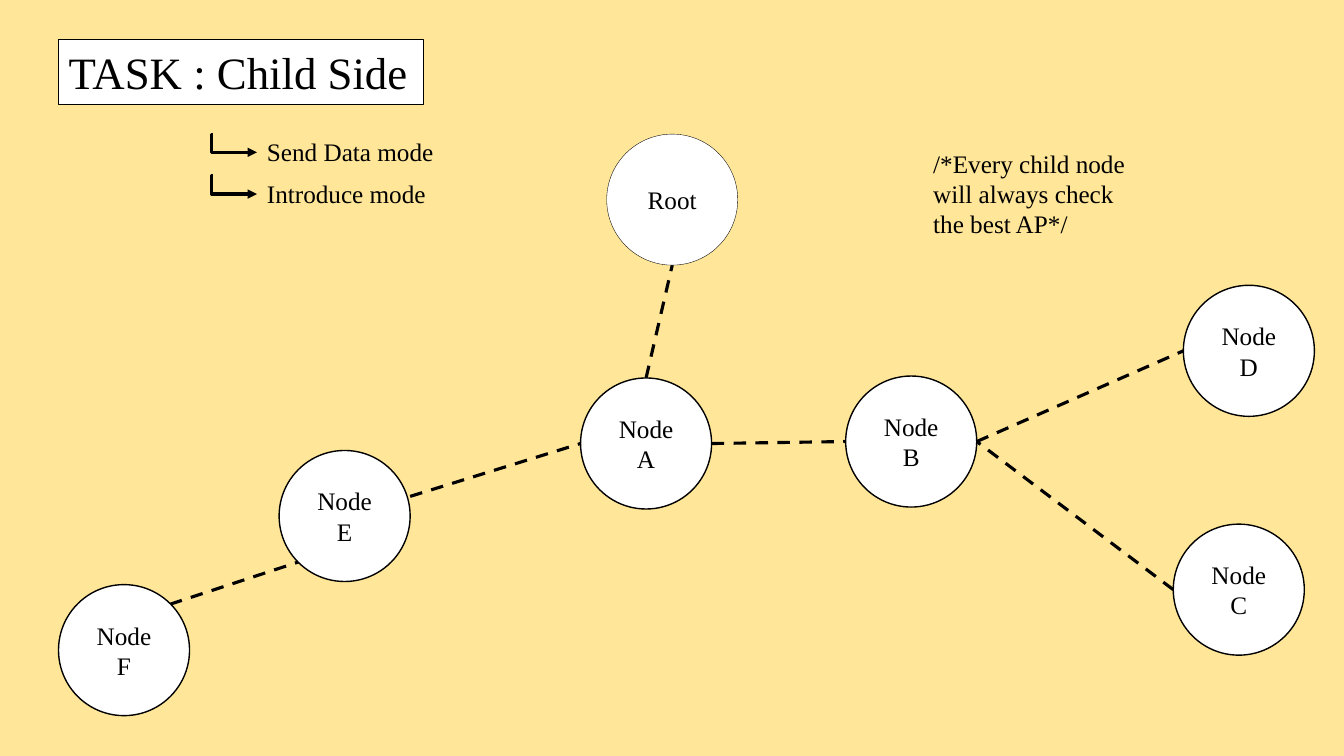
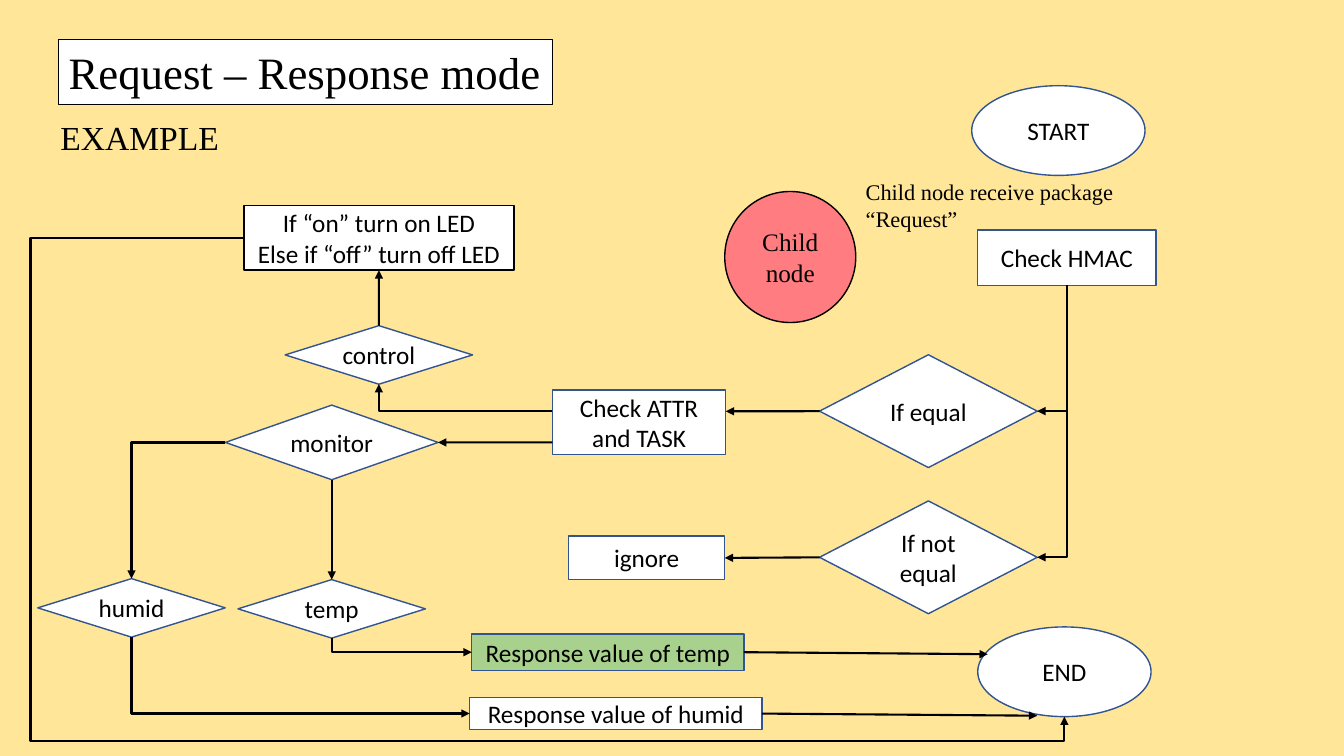
from dataclasses import dataclass

from lxml import etree
from pptx import Presentation
from pptx.dml.color import RGBColor
from pptx.enum import dml, shapes, text
from pptx.oxml.ns import qn
from pptx.util import Pt


@dataclass(frozen=True)
class Theme:
    sand: str = "FFE699"
    white: str = "FFFFFF"
    black: str = "000000"
    navy: str = "325491"
    coral: str = "FF7C80"
    green: str = "A9D18E"
    serif: str = "Times New Roman"
    sans: str = "Calibri"
    title_size: int = 32
    heading_size: int = 24
    body_size: int = 18
    note_size: int = 16


THEME = Theme()
KIND = shapes.MSO_SHAPE
OVAL, PROCESS, DECISION = KIND.OVAL, KIND.FLOWCHART_PROCESS, KIND.FLOWCHART_DECISION
TOP, LEFT, BOTTOM, RIGHT = range(4)
ELLIPSE_BOTTOM = 4  # ellipses have eight connection sites
NODE_SIZE = 93.6

# Child side: network of nodes
NODES = {
    "Root": (433.4, 95.8),
    "Node A": (414.7, 270),
    "Node B": (604.1, 268.6),
    "Node C": (838.1, 374.4),
    "Node D": (845.3, 203.8),
    "Node E": (199.4, 321.8),
    "Node F": (41.8, 417.6),
}
# Points on a node, as fractions of its size
ANCHORS = {
    "top": (0.5, 0), "bottom": (0.5, 1), "left": (0, 0.5), "right": (1, 0.5),
    "upper right": (0.85, 0.15), "lower left": (0.15, 0.85), "right shoulder": (1, 0.35),
}
LINKS = [
    ("Node A", "top", "Root", "bottom"),
    ("Node B", "right", "Node D", "left"),
    ("Node A", "right", "Node B", "left"),
    ("Node C", "left", "Node B", "right"),
    ("Node F", "upper right", "Node E", "lower left"),
    ("Node E", "right shoulder", "Node A", "left"),
]
MODES = ["Send Data mode", "Introduce mode"]
AP_NOTE = "/*Every child node will always check the best AP*/"

# Request and response: flowchart, as name: (kind, text, left, top, width, height)
FLOW_BOXES = {
    "hmac": (PROCESS, "Check HMAC", 698.4, 164.2, 127.4, 39.6),
    "equal": (DECISION, "If equal", 585.4, 253.4, 155.5, 80.6),
    "not equal": (DECISION, "If not equal", 585.4, 357.8, 155.5, 80.6),
    "ignore": (PROCESS, "ignore", 406.1, 383, 111.6, 31),
    "attr": (PROCESS, "Check ATTR and TASK", 394.6, 278.6, 123.8, 46.1),
    "control": (DECISION, "control", 203.7, 232.6, 133.9, 41.8),
    "monitor": (DECISION, "monitor", 161, 289.4, 151.9, 53.3),
    "led": (PROCESS, "If “on” turn on LED\nElse if “off” turn off LED", 174.2, 146.9, 193, 46.1),
    "temp": (DECISION, "temp", 170, 414, 133.9, 41.8),
    "humid": (DECISION, "humid", 27, 413.3, 133.9, 41.8),
    "start": (OVAL, "START", 694.1, 61.2, 123.8, 64.1),
    "end": (OVAL, "END", 698.4, 447.8, 123.8, 64.1),
    "temp value": (PROCESS, "Response value of temp", 337, 452.9, 194.4, 25.9),
    "humid value": (PROCESS, "Response value of humid", 335.5, 498.2, 208.8, 23),
}
FLOW_FILLS = {"temp value": THEME.green}
FLOW_LINES = {"led": THEME.black}
# Each end is a (box, side) pair or an (x, y) point
STRAIGHT_ARROWS = [
    (("equal", LEFT), (518.4, 293.8)),
    (("not equal", LEFT), ("ignore", RIGHT)),
    ((394.6, 316), ("monitor", RIGHT)),
    (("control", TOP), ("led", BOTTOM)),
    (("monitor", BOTTOM), ("temp", TOP)),
    (("temp value", RIGHT), (705.6, 467.3)),
    (("humid value", RIGHT), (740.9, 511.2)),
]
CORNER_ARROWS = [
    (("hmac", BOTTOM), ("equal", RIGHT)),
    (("hmac", BOTTOM), ("not equal", RIGHT)),
    ((394.6, 293.4), ("control", BOTTOM)),
    (("monitor", LEFT), ("humid", TOP)),
    (("temp", BOTTOM), ("temp value", LEFT)),
    (("humid", BOTTOM), ("humid value", LEFT)),
]


def rgb(value):
    return RGBColor.from_string(value)


def write(shape, content, size, font, align=text.PP_ALIGN.LEFT, anchor=text.MSO_ANCHOR.TOP):
    frame = shape.text_frame
    frame.text = content
    frame.word_wrap = True
    frame.auto_size = text.MSO_AUTO_SIZE.NONE
    frame.vertical_anchor = anchor
    for para in frame.paragraphs:
        para.alignment = align
        para.line_spacing = 1.0
        para.font.size = Pt(size)
        para.font.name = font
        para.font.color.rgb = rgb(THEME.black)


def paint(shape, fill, line, weight):
    shape.fill.solid()
    shape.fill.fore_color.rgb = rgb(fill)
    shape.line.color.rgb = rgb(line)
    shape.line.width = Pt(weight)


def add_titled_slide(deck, title, width):
    slide = deck.slides.add_slide(deck.slide_layouts.get_by_name("Title Only"))
    box = slide.shapes.title
    box.left, box.top, box.width, box.height = Pt(41.8), Pt(28.5), Pt(width), Pt(46.1)
    paint(box, THEME.white, THEME.black, 0.75)
    write(box, title, THEME.title_size, THEME.serif)
    return slide


def add_box(slide, kind, content, area, font, fill=THEME.white, line=THEME.black, weight=1):
    box = slide.shapes.add_shape(kind, *map(Pt, area))
    box.shadow.inherit = False
    paint(box, fill, line, weight)
    write(box, content, THEME.body_size, font, text.PP_ALIGN.CENTER, text.MSO_ANCHOR.MIDDLE)
    return box


def add_node(slide, content, corner, **style):
    return add_box(slide, OVAL, content, (*corner, NODE_SIZE, NODE_SIZE), THEME.serif, **style)


def add_text(slide, content, area, size=THEME.body_size):
    write(slide.shapes.add_textbox(*map(Pt, area)), content, size, THEME.serif)


def add_line(slide, start, end, weight, boxes=None, arrow=None, dash=None, preset=None, bends=()):
    """Join two ends; arrow is headEnd or tailEnd, bends are a preset's adjustments."""
    joined = [isinstance(point[0], str) for point in (start, end)]
    begin_at, end_at = [(0, 0) if glued else point
                        for glued, point in zip(joined, (start, end))]
    kind = shapes.MSO_CONNECTOR.ELBOW if preset else shapes.MSO_CONNECTOR.STRAIGHT
    line = slide.shapes.add_connector(kind, *map(Pt, (*begin_at, *end_at)))
    if joined[0]:
        line.begin_connect(boxes[start[0]], start[1])
    if joined[1]:
        line.end_connect(boxes[end[0]], end[1])
    line.line.color.rgb = rgb(THEME.black)
    line.line.width = Pt(weight)
    if dash:
        line.line.dash_style = dash
    properties = line.element.spPr
    if preset:
        geometry = properties.find(qn("a:prstGeom"))
        geometry.set("prst", preset)
        for number, bend in enumerate(bends, 1):
            etree.SubElement(geometry.find(qn("a:avLst")), qn("a:gd"),
                             name=f"adj{number}", fmla=f"val {round(bend * 100000)}")
    if arrow:
        etree.SubElement(properties.find(qn("a:ln")), qn(f"a:{arrow}"), type="triangle")
    etree.SubElement(properties, qn("a:effectLst"))
    return line


def add_corner_arrow(slide, source, target, boxes):
    """The corner preset starts horizontally, so a vertical start is drawn backwards."""
    vertical_start = isinstance(source[0], str) and source[1] in (TOP, BOTTOM)
    start, end = (target, source) if vertical_start else (source, target)
    add_line(slide, start, end, 1.5, boxes, preset="bentConnector2",
             arrow="headEnd" if vertical_start else "tailEnd")


def add_end_loop(slide, boxes):
    """Lead the LED box round the left and bottom edges into the end."""
    finish = boxes["end"]
    bottom = ((finish.left + finish.width / 2) / Pt(1), (finish.top + finish.height) / Pt(1))
    loop = add_line(slide, ("led", LEFT), ("end", BOTTOM), 1.5, boxes, arrow="tailEnd",
                    preset="bentConnector4", bends=(-0.26, 1.05))
    loop.end_x, loop.end_y = map(Pt, bottom)
    for site in loop.element.iter(qn("a:endCxn")):
        site.set("idx", str(ELLIPSE_BOTTOM))


def anchor_point(node, anchor):
    return tuple(corner + share * NODE_SIZE
                 for corner, share in zip(NODES[node], ANCHORS[anchor]))


def build_child_side(deck):
    slide = add_titled_slide(deck, "TASK : Child Side", 260.6)
    for first, first_anchor, second, second_anchor in LINKS:
        add_line(slide, anchor_point(first, first_anchor), anchor_point(second, second_anchor),
                 2.25, dash=dml.MSO_LINE.DASH)
    for name, corner in NODES.items():
        add_node(slide, name, corner, weight=0.25 if name == "Root" else 1)
    for row, mode in enumerate(MODES):
        top = 93.8 + row * 29.8
        add_text(slide, mode, (183.6, top, 140.4, 28.8))
        add_line(slide, (151.9, top + 2), (183.6, top + 15), 2.25, arrow="tailEnd",
                 preset="bentConnector3", bends=(-0.02,))
    add_text(slide, AP_NOTE, (659.5, 102.2, 157.7, 72.7))


def build_request_response(deck):
    slide = add_titled_slide(deck, "Request – Response mode", 352.8)
    add_text(slide, "EXAMPLE", (36, 79.9, 133.9, 36), THEME.heading_size)
    add_node(slide, "Child node", (517.7, 136.8), fill=THEME.coral)
    add_text(slide, "Child node receive package “Request”", (611.3, 123.8, 199.4, 46.1),
             THEME.note_size)
    boxes = {
        name: add_box(slide, kind, content, area, THEME.sans,
                      FLOW_FILLS.get(name, THEME.white), FLOW_LINES.get(name, THEME.navy))
        for name, (kind, content, *area) in FLOW_BOXES.items()
    }
    for source, target in STRAIGHT_ARROWS:
        add_line(slide, source, target, 1.5, boxes, arrow="tailEnd")
    for source, target in CORNER_ARROWS:
        add_corner_arrow(slide, source, target, boxes)
    add_end_loop(slide, boxes)


def main():
    deck = Presentation()
    deck.slide_width, deck.slide_height = Pt(960), Pt(540)
    backdrop = deck.slide_master.background.fill
    backdrop.solid()
    backdrop.fore_color.rgb = rgb(THEME.sand)
    build_child_side(deck)
    build_request_response(deck)
    deck.save("out.pptx")


if __name__ == "__main__":
    main()
